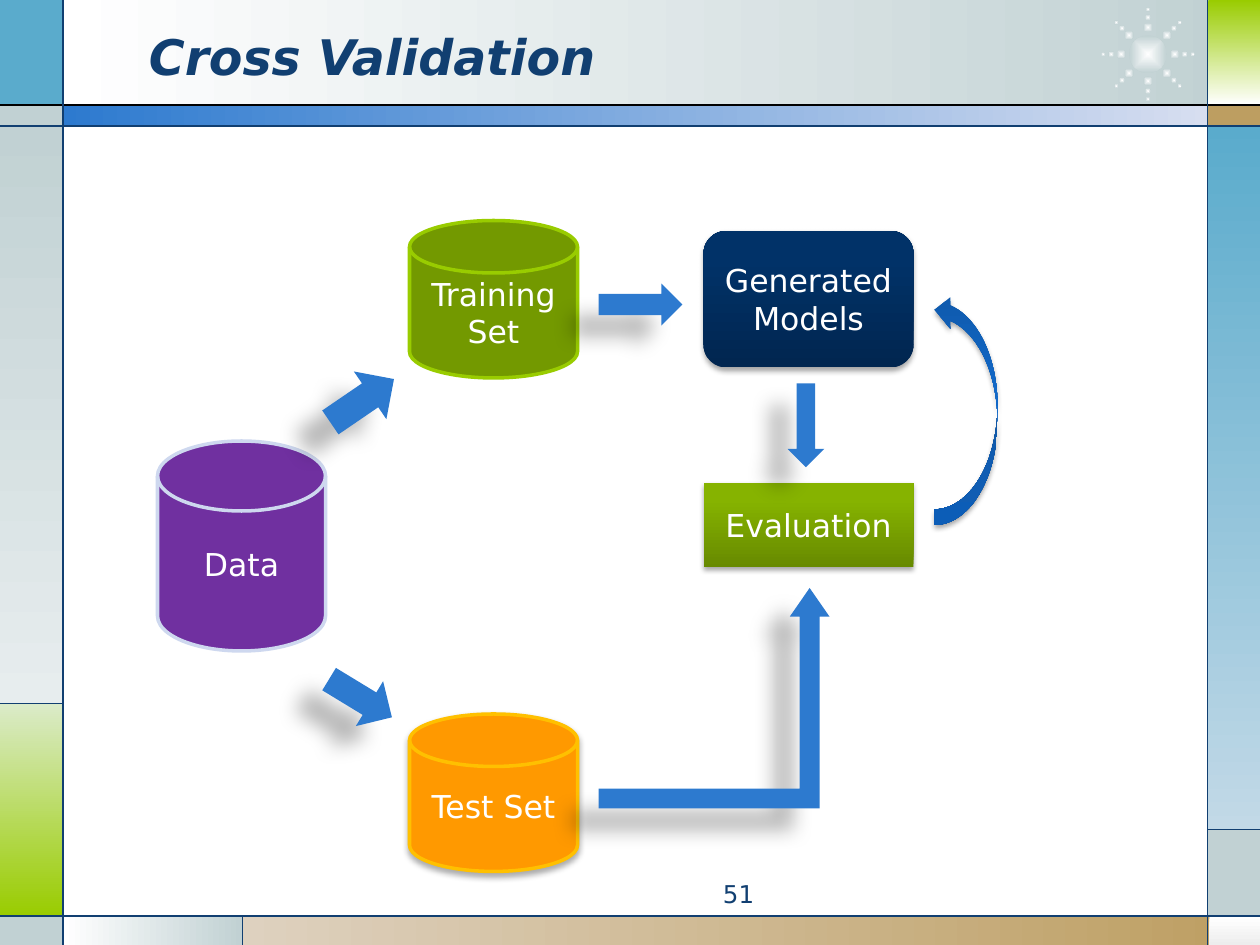
from dataclasses import dataclass
from math import cos, radians, sin
from typing import Optional, Union

from lxml import etree
from pptx import Presentation
from pptx.dml.color import RGBColor
from pptx.enum.shapes import MSO_CONNECTOR, MSO_SHAPE
from pptx.enum.text import MSO_ANCHOR, PP_ALIGN
from pptx.oxml import parse_xml
from pptx.oxml.ns import nsdecls, qn
from pptx.util import Pt

RECTANGLE, OVAL = MSO_SHAPE.RECTANGLE, MSO_SHAPE.OVAL
DISK = MSO_SHAPE.FLOWCHART_MAGNETIC_DISK
PROCESS = MSO_SHAPE.FLOWCHART_PROCESS
ROUNDED = MSO_SHAPE.FLOWCHART_ALTERNATE_PROCESS
ARROW, BENT_ARROW = MSO_SHAPE.RIGHT_ARROW, MSO_SHAPE.BENT_UP_ARROW
CURVED_ARROW = MSO_SHAPE.CURVED_RIGHT_ARROW
STRAIGHT = MSO_CONNECTOR.STRAIGHT
LEFT, CENTER, RIGHT = PP_ALIGN.LEFT, PP_ALIGN.CENTER, PP_ALIGN.RIGHT
TOP, MIDDLE = MSO_ANCHOR.TOP, MSO_ANCHOR.MIDDLE


@dataclass(frozen=True)
class Gradient:
    """Colours by position; an angle of None spreads from the centre."""
    stops: tuple
    angle: Optional[int] = 0


@dataclass(frozen=True)
class Shadow:
    alpha: int
    blur: float
    distance: float
    angle: int


@dataclass(frozen=True)
class Theme:
    font: str = "DejaVu Sans"
    title_size: int = 28
    label_size: int = 18
    number_size: int = 14
    navy: str = "113F71"
    black: str = "000000"
    white: str = "FFFFFF"
    mist: str = "C1D1D3"
    sky: str = "5AABCC"
    lime: str = "99CC00"
    tan: str = "BD9E61"
    blue: str = "2D7ACF"
    soft: Shadow = Shadow(35, 3.1, 1.8, 90)
    disk: Shadow = Shadow(32, 3.5, 2.2, 90)
    cast: Shadow = Shadow(28, 11.8, 19.7, 141)


THEME = Theme()
Fill = Union[str, Gradient]


@dataclass(frozen=True)
class Item:
    kind: int
    box: tuple
    fill: Fill
    text: str = ""
    outline: Optional[str] = None
    shadow: Optional[Shadow] = None
    rotation: float = 0
    adjustments: tuple = ()


def fade(first: str, last: str, angle: Optional[int] = 0) -> Gradient:
    return Gradient(((0, first), (100, last)), angle)


def raised(low: str, middle: str, high: str) -> Gradient:
    return Gradient(((0, low), (80, middle), (100, high)), 270)


MIST_FADE = fade(THEME.white, THEME.mist)
GLOW = fade(THEME.white, THEME.mist, None)

BANDS = [
    ((36, 0, 667.5, 60.5), MIST_FADE),
    ((0, 0, 36, 60.5), THEME.sky),
    ((0, 60, 36, 12), THEME.mist),
    ((0, 72, 36, 330), fade(THEME.mist, "E7EDEE", 90)),
    ((0, 402, 36, 121.5), fade("DBEBC9", THEME.lime, 90)),
    ((0, 523.5, 36, 16.5), THEME.mist),
    ((36, 523.5, 102.5, 16.5), MIST_FADE),
    ((138.5, 523.5, 581.5, 16.5), fade("DED1BF", THEME.tan)),
    ((691, 523.5, 29, 16.5), fade(THEME.white, "EDEDED", 90)),
    ((690, 474, 30, 49.5), THEME.mist),
    ((690, 72, 30, 402), fade(THEME.sky, "C2D9E7", 90)),
    ((690, 60, 30, 12), THEME.tan),
    ((690.5, 0, 29.5, 60), fade(THEME.lime, THEME.white, 90)),
    ((36, 60, 654.5, 12), fade(THEME.blue, "D7DEF0")),
]
RULES = [
    ((0, 60, 720, 60), THEME.black),
    ((0, 72, 720, 72), THEME.navy),
    ((0, 523.5, 720, 523.5), THEME.navy),
    ((36, 0, 36, 540), THEME.navy),
    ((690, 0, 690, 540), THEME.navy),
    ((36, 402, 0, 402), THEME.navy),
    ((138.5, 523.5, 138.5, 540), THEME.navy),
    ((690, 474, 720, 474), THEME.navy),
]
STAR_CENTER, STAR_CORE, STAR_RAYS = (656, 31), 21.6, 8
STAR_DOTS = [(21, 3.5), (25.6, 2.5), (15.3, 5.3)]  # distance, size

FLOW = [
    Item(DISK, (90, 252, 96, 120), "7030A0", "Data", "CED8EF"),
    Item(DISK, (234, 126, 96, 90), "739900", "Training Set", THEME.lime),
    Item(DISK, (234, 408, 96, 90), "FF9900", "Test Set", "FFC000", THEME.disk),
    Item(PROCESS, (402, 276, 120, 48), raised("678A00", "86B300", "86B400"),
         "Evaluation", shadow=THEME.soft),
    Item(ROUNDED, (402, 132, 120, 78), raised("012650", "013268", "003269"),
         "Generated Models", shadow=THEME.soft),
    Item(ARROW, (185, 212.5, 44, 33), THEME.blue, shadow=THEME.cast, rotation=325.7),
    Item(ARROW, (185, 384, 42, 30), THEME.blue, shadow=THEME.cast, rotation=31.3),
    Item(ARROW, (342, 162, 48, 24), THEME.blue, shadow=THEME.cast),
    Item(ARROW, (436.5, 232.5, 48, 21), THEME.blue, shadow=THEME.cast, rotation=90),
    Item(BENT_ARROW, (342, 336, 132, 126), THEME.blue, shadow=THEME.cast,
         adjustments=(0.09, 0.09, 0.13)),
    Item(CURVED_ARROW, (534, 168, 36, 132), raised("0F5AAD", "1475E0", "1075E5"),
         shadow=THEME.soft, rotation=180),
]


def gradient_xml(gradient: Gradient):
    stops = "".join(
        f'<a:gs pos="{position * 1000}"><a:srgbClr val="{color}"/></a:gs>'
        for position, color in gradient.stops)
    if gradient.angle is None:
        course = ('<a:path path="shape"><a:fillToRect l="50000" t="50000" '
                  'r="50000" b="50000"/></a:path>')
    else:
        course = f'<a:lin ang="{gradient.angle * 60000}" scaled="0"/>'
    return parse_xml(f'<a:gradFill {nsdecls("a")} rotWithShape="1">'
                     f'<a:gsLst>{stops}</a:gsLst>{course}</a:gradFill>')


def shadow_xml(shadow: Shadow):
    return parse_xml(
        f'<a:outerShdw {nsdecls("a")} blurRad="{Pt(shadow.blur)}" '
        f'dist="{Pt(shadow.distance)}" dir="{shadow.angle * 60000}" '
        f'algn="ctr" rotWithShape="0"><a:srgbClr val="{THEME.black}">'
        f'<a:alpha val="{shadow.alpha * 1000}"/></a:srgbClr></a:outerShdw>')


def write(shape, text: str, size: int, color: str, align: int, anchor: int,
          strong: bool = False) -> None:
    frame = shape.text_frame
    frame.word_wrap = True
    frame.vertical_anchor = anchor
    para = frame.paragraphs[0]
    para.alignment = align
    span = para.add_run()
    span.text = text
    font = span.font
    font.name, font.size = THEME.font, Pt(size)
    font.bold = font.italic = strong
    font.color.rgb = RGBColor.from_string(color)


def draw_item(page, item: Item) -> None:
    shape = page.shapes.add_shape(item.kind, *map(Pt, item.box))
    shape.rotation = item.rotation
    for index, value in enumerate(item.adjustments):
        shape.adjustments[index] = value
    properties = shape._element.spPr
    if isinstance(item.fill, Gradient):
        shape.fill.background()
        properties.replace(properties.find(qn("a:noFill")), gradient_xml(item.fill))
    else:
        shape.fill.solid()
        shape.fill.fore_color.rgb = RGBColor.from_string(item.fill)
    if item.outline:
        shape.line.color.rgb = RGBColor.from_string(item.outline)
        shape.line.width = Pt(2)
    else:
        shape.line.fill.background()
    shape.shadow.inherit = False
    if item.shadow:
        properties.find(qn("a:effectLst")).append(shadow_xml(item.shadow))
    if item.text:
        write(shape, item.text, THEME.label_size, THEME.white, CENTER, MIDDLE)


def draw_rule(page, ends: tuple, color: str) -> None:
    rule = page.shapes.add_connector(STRAIGHT, *map(Pt, ends))
    rule.line.color.rgb = RGBColor.from_string(color)
    rule.line.width = Pt(0.75)
    etree.SubElement(rule._element.spPr, qn("a:effectLst"))


def draw_dot(page, x: float, y: float, size: float) -> None:
    draw_item(page, Item(OVAL, (x - size / 2, y - size / 2, size, size), GLOW))


def draw_star(page) -> None:
    x, y = STAR_CENTER
    draw_dot(page, x, y, STAR_CORE)
    for ray in range(STAR_RAYS):
        angle = radians(ray * 360 / STAR_RAYS)
        for distance, size in STAR_DOTS:
            draw_dot(page, x + distance * cos(angle), y + distance * sin(angle), size)


def main() -> None:
    deck = Presentation()
    deck.slide_width, deck.slide_height = Pt(720), Pt(540)
    page = deck.slides.add_slide(deck.slide_layouts[6])
    for box, fill in BANDS:
        draw_item(page, Item(RECTANGLE, box, fill))
    draw_star(page)
    for ends, color in RULES:
        draw_rule(page, ends, color)
    title = page.shapes.add_textbox(Pt(78), Pt(9.5), Pt(528), Pt(44.5))
    write(title, "Cross Validation", THEME.title_size, THEME.navy, LEFT, MIDDLE, True)
    number = page.shapes.add_textbox(Pt(270), Pt(499), Pt(168), Pt(19.5))
    write(number, "51", THEME.number_size, THEME.navy, RIGHT, TOP)
    for item in FLOW:
        draw_item(page, item)
    deck.save("out.pptx")


if __name__ == "__main__":
    main()
